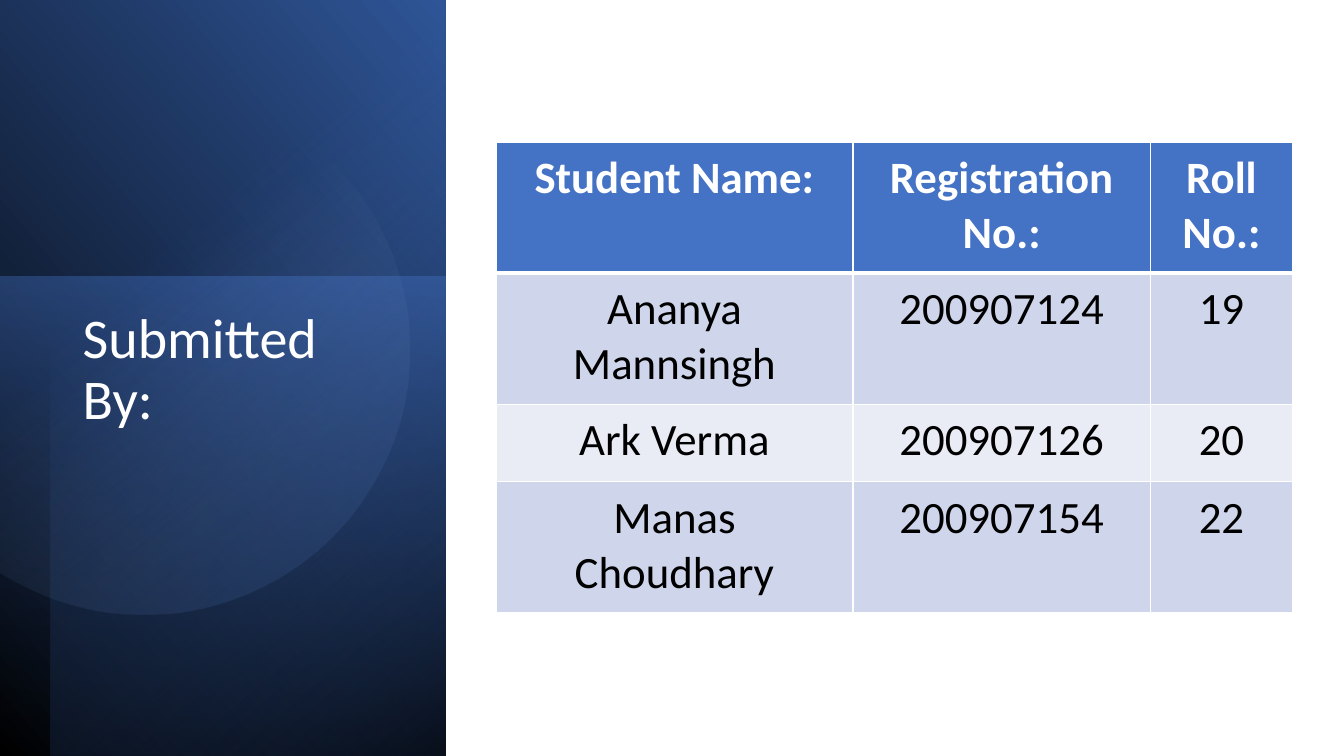
from math import acos, cos, pi, sin

from lxml.etree import SubElement
from pptx import Presentation
from pptx.dml.color import RGBColor
from pptx.enum.shapes import MSO_SHAPE as Preset
from pptx.enum.text import MSO_ANCHOR as Anchor, MSO_AUTO_SIZE as AutoSize, PP_ALIGN as Align
from pptx.oxml.ns import qn
from pptx.util import Inches, Pt

COLORS = {
    "white": "FFFFFF",
    "black": "000000",
    "blue": "4472C4",
    "deep": "2F5597",
    "navy": "203864",
    "pale": "8FAADC",
    "band": "CFD5EA",
    "light": "E9EBF5",
}


class SlideBuilder:
    font = "Calibri"

    def __init__(self, presentation):
        self.slide = presentation.slides.add_slide(presentation.slide_layouts[5])
        self.shapes = self.slide.shapes

    def color(self, name):
        return RGBColor.from_string(COLORS[name])

    def gradient(self, shape, stops, angle):
        shape.shadow.inherit = False
        shape.line.fill.background()
        shape.fill.gradient()
        fill = shape._element.spPr.find(qn("a:gradFill"))
        fill.clear()
        fill.set("rotWithShape", "1")
        stop_list = SubElement(fill, qn("a:gsLst"))
        for position, name, alpha in stops:
            stop = SubElement(stop_list, qn("a:gs"), pos=str(position * 1000))
            color = SubElement(stop, qn("a:srgbClr"), val=COLORS[name])
            if alpha < 100:
                SubElement(color, qn("a:alpha"), val=str(alpha * 1000))
        SubElement(fill, qn("a:lin"), ang=str(round(angle * 60000)), scaled="0")

    def panel(self, box, rotation, stops, angle, flip=False):
        shape = self.shapes.add_shape(Preset.RECTANGLE, *map(Inches, box))
        shape.rotation = rotation
        if flip:
            shape._element.spPr.find(qn("a:xfrm")).set("flipH", "1")
        self.gradient(shape, stops, angle)

    def clipped_circle(self, center_x, center_y, radius, stops, angle, steps=120):
        limit = acos(-center_x / radius)
        turns = [limit * (2 * step / steps - 1) for step in range(steps + 1)]
        points = [
            (Inches(center_x + radius * cos(turn)), Inches(center_y + radius * sin(turn)))
            for turn in turns
        ]
        builder = self.shapes.build_freeform(*points[0])
        builder.add_line_segments(points[1:], close=True)
        self.gradient(builder.convert_to_shape(), stops, angle)

    def run(self, paragraph, text, size, color, bold=False):
        run = paragraph.add_run()
        run.text = text
        run.font.name = self.font
        run.font.size = Pt(size)
        run.font.bold = bold
        run.font.color.rgb = self.color(color)

    def title(self, text, box):
        title = self.shapes.title
        title.left, title.top, title.width, title.height = map(Inches, box)
        self.shapes._spTree.append(title._element)
        frame = title.text_frame
        frame.word_wrap = True
        frame.auto_size = AutoSize.NONE
        frame.vertical_anchor = Anchor.TOP
        paragraph = frame.paragraphs[0]
        paragraph.alignment = Align.LEFT
        paragraph.line_spacing = 0.9
        self.run(paragraph, text, 40, "white")

    def borders(self, cell, widths):
        properties = cell._tc.get_or_add_tcPr()
        for index, (side, width) in enumerate(widths.items()):
            line = SubElement(properties, qn(f"a:ln{side}"), w=str(Pt(width)))
            properties.insert(index, line)
            fill = SubElement(line, qn("a:solidFill"))
            SubElement(fill, qn("a:srgbClr"), val=COLORS["white"])

    def table(self, rows, box, column_widths, row_heights):
        frame = self.shapes.add_table(len(rows), len(column_widths), *map(Inches, box))
        table = frame.table
        for column, width in zip(table.columns, column_widths):
            column.width = Inches(width)
        for row, height in zip(table.rows, row_heights):
            row.height = Inches(height)
        for row_index, row in enumerate(rows):
            header = row_index == 0
            fill = "blue" if header else ("light", "band")[row_index % 2]
            widths = {"L": 1, "R": 1, "T": 3 if row_index == 1 else 1, "B": 3 if header else 1}
            for column_index, text in enumerate(row):
                cell = table.cell(row_index, column_index)
                cell.fill.solid()
                cell.fill.fore_color.rgb = self.color(fill)
                cell.margin_left = cell.margin_right = Inches(0.18)
                cell.margin_top = cell.margin_bottom = Inches(0.09)
                self.borders(cell, widths)
                paragraph = cell.text_frame.paragraphs[0]
                paragraph.alignment = Align.CENTER
                self.run(paragraph, text, 32, "white" if header else "black", header)


def main():
    presentation = Presentation()
    presentation.slide_width = Inches(13.33)
    presentation.slide_height = Inches(7.5)
    builder = SlideBuilder(presentation)

    builder.panel((-1.55, 1.55, 7.52, 4.42), 90,
                  [(0, "black", 100), (100, "deep", 100)], 310, flip=True)
    builder.panel((-0.17, 2.91, 4.76, 4.42), 270,
                  [(0, "blue", 50), (100, "navy", 0)], 190)
    builder.panel((-1.29, 1.79, 7.5, 3.92), 270,
                  [(0, "black", 59), (69, "blue", 0)], 220, flip=True)
    builder.clipped_circle(1.43, 3.47, 2.63, [(39, "pale", 0), (100, "deep", 26)], 51.6)

    builder.title("Submitted By:", (0.72, 3.03, 3.15, 3.36))
    students = [
        ("Student Name:", "Registration No.:", "Roll No.:"),
        ("Ananya Mannsingh", "200907124", "19"),
        ("Ark Verma", "200907126", "20"),
        ("Manas Choudhary", "200907154", "22"),
    ]
    builder.table(students, (4.92, 1.41, 7.9, 4.68), (3.54, 2.95, 1.41), (1.3, 1.3, 0.77, 1.3))
    presentation.save("out.pptx")


if __name__ == "__main__":
    main()
